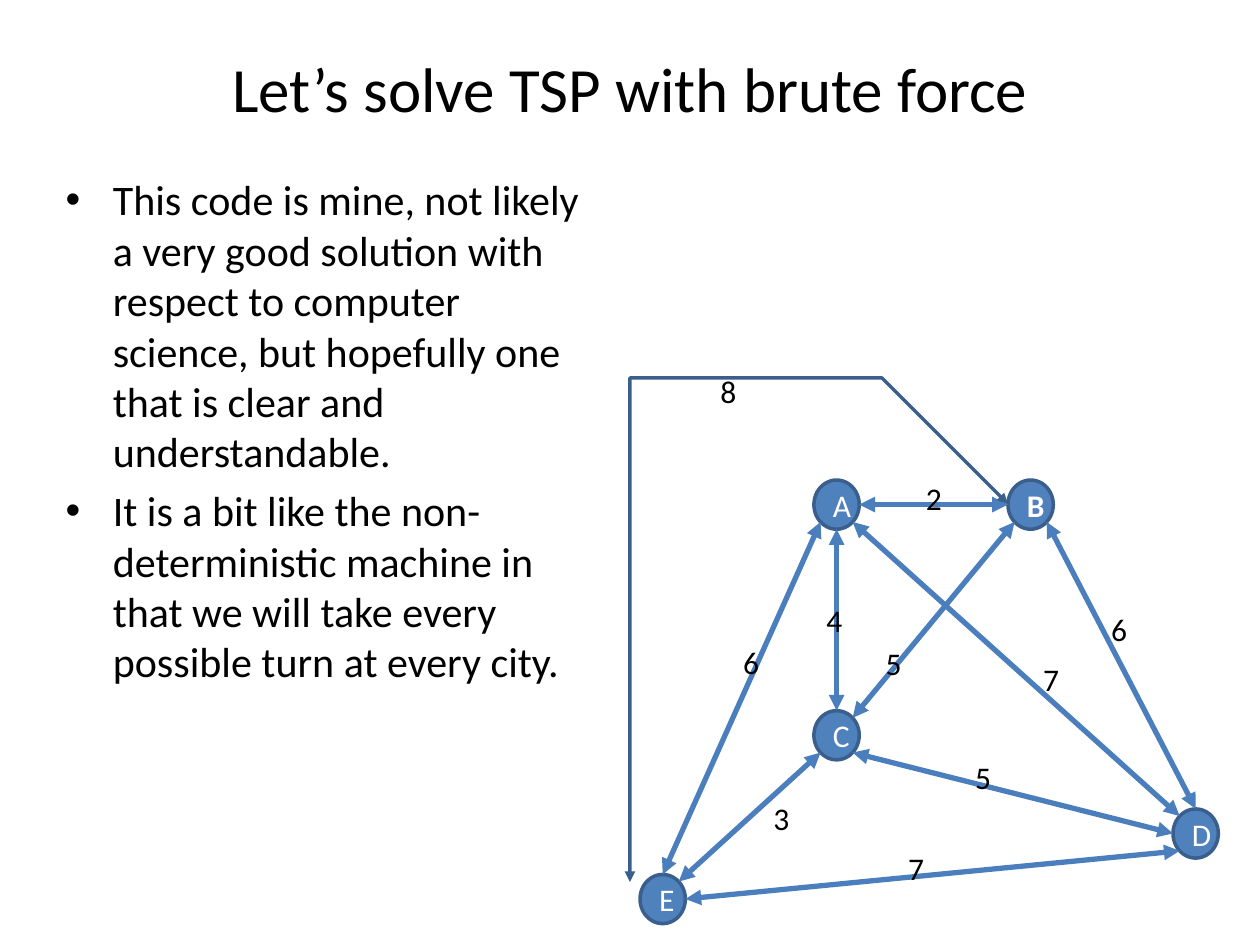
from math import cos, pi, sin
from typing import NamedTuple

from pptx import Presentation
from pptx.dml.color import RGBColor
from pptx.enum.shapes import MSO_CONNECTOR, MSO_SHAPE
from pptx.enum.text import MSO_ANCHOR, MSO_AUTO_SIZE, PP_ALIGN
from pptx.oxml.ns import qn
from pptx.util import Inches, Pt
from lxml.etree import SubElement

BLACK = RGBColor(0x00, 0x00, 0x00)
WHITE = RGBColor(0xFF, 0xFF, 0xFF)
BLUE = RGBColor(0x4F, 0x81, 0xBD)
DARK = RGBColor(0x3A, 0x5F, 0x8C)
ROAD = RGBColor(0x4B, 0x7E, 0xBC)
FONT = "Calibri"
WIDE, HIGH = 0.36, 0.39
# Eight sites around a circle, clockwise from the right
E, SE, S, SW, W, NW, N, NE = range(8)


class City(NamedTuple):
    name: str
    left: float
    top: float
    bold: bool = False

    def site(self, side: int) -> tuple[float, float]:
        turn = side * pi / 4
        return (self.left + WIDE / 2 * (1 + cos(turn)),
                self.top + HIGH / 2 * (1 + sin(turn)))


class Road(NamedTuple):
    start: str
    out: int
    end: str
    into: int


class Cost(NamedTuple):
    text: str
    left: float
    top: float


CITIES = {city.name: city for city in (
    City("A", 6.46, 3.81), City("B", 8, 3.81, True), City("C", 6.46, 5.64),
    City("D", 9.31, 6.42), City("E", 5.08, 6.94))}
ROADS = [
    Road("A", E, "B", W), Road("A", S, "C", N), Road("B", SW, "C", NE),
    Road("A", SE, "D", NW), Road("B", SE, "D", N), Road("C", SE, "D", W),
    Road("A", SW, "E", N), Road("D", SW, "E", E), Road("C", SW, "E", NE)]
COSTS = [
    Cost("2", 7.25, 3.75), Cost("5", 6.93, 5.06), Cost("7", 8.18, 5.19),
    Cost("6", 8.72, 4.79), Cost("5", 7.64, 5.97), Cost("7", 7.11, 6.69),
    Cost("3", 6.04, 6.29), Cost("6", 5.8, 5.05), Cost("4", 6.46, 4.72),
    Cost("8", 5.62, 2.9)]
BENDS = [
    [(5.21, 6.94), (5.07, 5.23), (4.94, 3.52), (5.42, 3.01)],
    [(5.42, 3.01), (5.89, 2.5), (6.98, 3.2), (8.06, 3.89)]]
POINTS = [
    "This code is mine, not likely a very good solution with respect to "
    "computer science, but hopefully one that is clear and understandable.",
    "It is a bit like the non-deterministic machine in that we will take "
    "every possible turn at every city."]


def style(para, size: float, color: RGBColor, bold: bool | None = None) -> None:
    para.font.name = FONT
    para.font.size = Pt(size)
    para.font.color.rgb = color
    para.font.bold = bold


def place(shape, left: float, top: float, width: float, height: float) -> None:
    shape.left, shape.top = Inches(left), Inches(top)
    shape.width, shape.height = Inches(width), Inches(height)


def stroke(shape, color: RGBColor, width: float, arrows: bool = False) -> None:
    shape.line.color.rgb = color
    shape.line.width = Pt(width)
    if arrows:
        line = shape.line._get_or_add_ln()
        for tag in ("a:headEnd", "a:tailEnd"):
            SubElement(line, qn(tag), type="triangle")


def add_city(shapes, city: City) -> None:
    node = shapes.add_shape(MSO_SHAPE.OVAL, Inches(city.left), Inches(city.top),
                            Inches(WIDE), Inches(HIGH))
    node.shadow.inherit = False
    node.fill.solid()
    node.fill.fore_color.rgb = BLUE
    stroke(node, DARK, 2)
    frame = node.text_frame
    frame.text = city.name
    frame.vertical_anchor = MSO_ANCHOR.MIDDLE
    frame.paragraphs[0].alignment = PP_ALIGN.CENTER
    style(frame.paragraphs[0], 18, WHITE, city.bold)


def add_road(shapes, road: Road) -> None:
    ends = CITIES[road.start].site(road.out) + CITIES[road.end].site(road.into)
    link = shapes.add_connector(MSO_CONNECTOR.STRAIGHT, *map(Inches, ends))
    stroke(link, ROAD, 3, arrows=True)
    SubElement(link._element.spPr, qn("a:effectLst"))


def bezier(bend: list[tuple[float, float]], t: float) -> tuple[float, ...]:
    u = 1 - t
    parts = (u ** 3, 3 * u * u * t, 3 * u * t * t, t ** 3)
    return tuple(sum(k * v for k, v in zip(parts, axis)) for axis in zip(*bend))


def add_curve(shapes, steps: int = 30) -> None:
    build = shapes.build_freeform(*BENDS[0][0], scale=Inches(1))
    build.add_line_segments([bezier(bend, i / steps) for bend in BENDS
                             for i in range(1, steps + 1)], close=False)
    curve = build.convert_to_shape()
    curve.shadow.inherit = False
    curve.fill.background()
    stroke(curve, DARK, 2, arrows=True)


def add_cost(shapes, cost: Cost) -> None:
    box = shapes.add_textbox(Inches(cost.left), Inches(cost.top),
                             Inches(0.24), Inches(0.32))
    frame = box.text_frame
    frame.word_wrap = False
    frame.auto_size = MSO_AUTO_SIZE.SHAPE_TO_FIT_TEXT
    frame.text = cost.text
    style(frame.paragraphs[0], 18, BLACK)


def main() -> None:
    deck = Presentation()
    deck.slide_width, deck.slide_height = Inches(10), Inches(7.5)
    slide = deck.slides.add_slide(deck.slide_layouts[1])

    title, body = slide.placeholders
    place(title, 0.5, 0.3, 9, 0.78)
    title.text_frame.text = "Let’s solve TSP with brute force"
    style(title.text_frame.paragraphs[0], 36, BLACK)

    place(body, 0.42, 1.33, 4.33, 4.95)
    body.text_frame.text = "\n".join(POINTS)
    body.text_frame.auto_size = MSO_AUTO_SIZE.NONE
    for para in body.text_frame.paragraphs:
        style(para, 24, BLACK)
    body.text_frame.paragraphs[0].space_before = Pt(0)

    graph = slide.shapes.add_group_shape().shapes
    for city in CITIES.values():
        add_city(graph, city)
    for road in ROADS:
        add_road(graph, road)
    add_curve(graph)
    for cost in COSTS:
        add_cost(graph, cost)
    deck.save("out.pptx")


if __name__ == "__main__":
    main()
